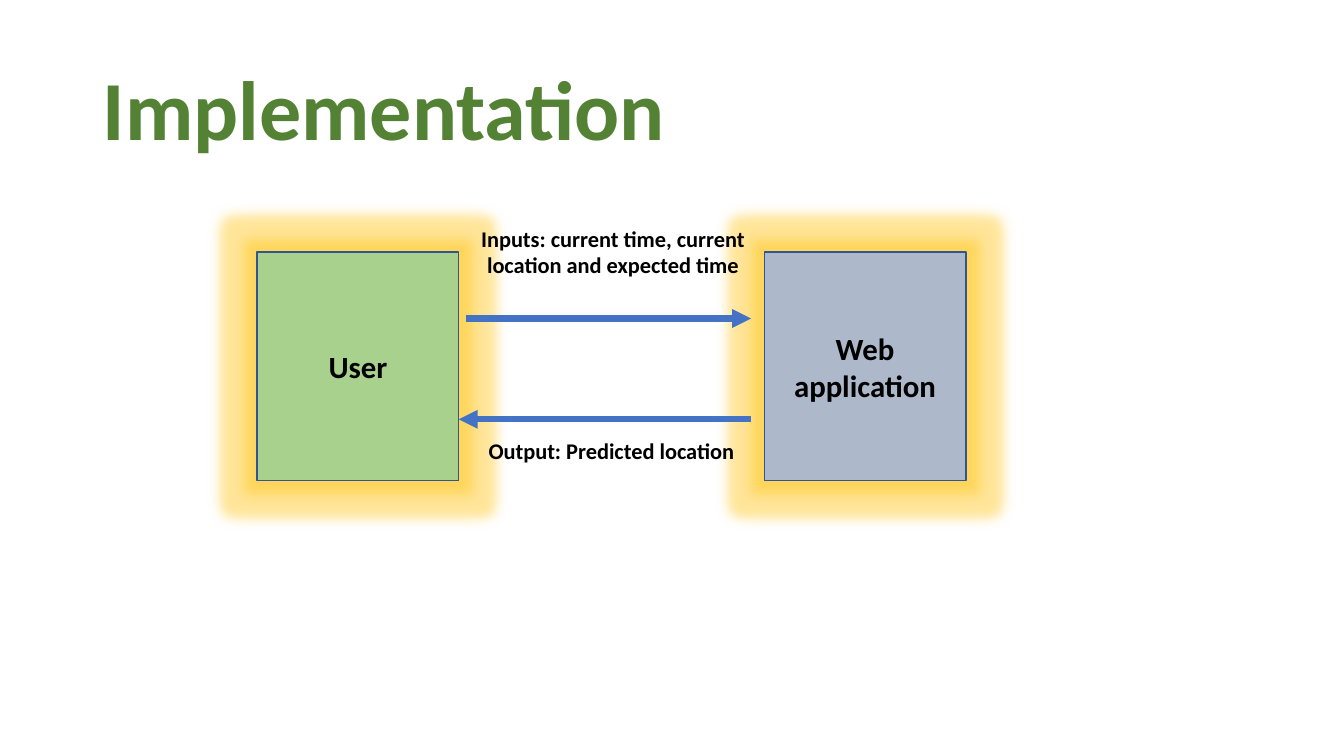
from pptx import Presentation
from pptx.dml.color import RGBColor
from pptx.enum import shapes, text
from pptx.oxml import parse_xml
from pptx.oxml.ns import nsdecls
from pptx.util import Inches, Pt

# Content
TITLE = "Implementation"
BOXES = [("User", 2.55, "user"), ("Web application", 7.58, "web")]  # text, left, fill
ARROWS = [(4.62, 7.45, 3.16), (7.45, 4.55, 4.16)]  # from x, to x, y
LABELS = [
    ("Inputs: current time, current location and expected time", (4.46, 2.18, 3.24, 0.64)),
    ("Output: Predicted location", (4.26, 4.29, 3.61, 0.37)),
]
BOX_TOP, BOX_W, BOX_H = 2.5, 2, 2.27

THEME = {
    "font": "Calibri",
    "title": "548235", "text": "000000", "user": "A9D18E", "web": "ADB9CA",
    "outline": "325491", "arrow": "4472C4", "glow": "FFC000",
    "title_size": 60, "box_size": 22, "label_size": 16,
}


def color(name):
    return RGBColor.from_string(THEME[name])


def write(tf, words, size, fill="text", align=text.PP_ALIGN.CENTER,
          anchor=text.MSO_ANCHOR.MIDDLE, spacing=None):
    tf.word_wrap = True
    tf.vertical_anchor = anchor
    p = tf.paragraphs[0]
    p.alignment = align
    p.line_spacing = spacing
    r = p.add_run()
    r.text = words
    r.font.name = THEME["font"]
    r.font.size = Pt(THEME[size])
    r.font.bold = True
    r.font.color.rgb = color(fill)


def add_glow(sp, radius):
    effects = sp._element.spPr.find(".//{*}effectLst")
    effects.append(parse_xml(
        f'<a:glow {nsdecls("a")} rad="{Pt(radius)}"><a:srgbClr val="{THEME["glow"]}">'
        '<a:alpha val="40000"/></a:srgbClr></a:glow>'))


prs = Presentation()
prs.slide_width, prs.slide_height = Inches(13.33), Inches(7.5)
s = prs.slides.add_slide(prs.slide_layouts[5])

# Title
title = s.shapes.title
title.left, title.top, title.width, title.height = map(Inches, (0.92, 0.4, 11.5, 1.45))
write(title.text_frame, TITLE, "title_size", fill="title",
      align=text.PP_ALIGN.LEFT, spacing=0.9)

# Glowing boxes
for words, left, fill in BOXES:
    sp = s.shapes.add_shape(shapes.MSO_SHAPE.RECTANGLE,
                            *map(Inches, (left, BOX_TOP, BOX_W, BOX_H)))
    sp.shadow.inherit = False
    sp.fill.solid()
    sp.fill.fore_color.rgb = color(fill)
    sp.line.color.rgb = color("outline")
    sp.line.width = Pt(1)
    add_glow(sp, 18)
    write(sp.text_frame, words, "box_size")

# Arrows between the boxes
for start, end, y in ARROWS:
    arrow = s.shapes.add_connector(shapes.MSO_CONNECTOR.STRAIGHT,
                                   *map(Inches, (start, y, end, y)))
    arrow.line.color.rgb = color("arrow")
    arrow.line.width = Pt(4.5)
    arrow.line._get_or_add_ln().append(
        parse_xml(f'<a:tailEnd {nsdecls("a")} type="triangle"/>'))
    arrow._element.spPr.append(parse_xml(f'<a:effectLst {nsdecls("a")}/>'))

# Arrow labels
for words, place in LABELS:
    label = s.shapes.add_textbox(*map(Inches, place))
    write(label.text_frame, words, "label_size", anchor=text.MSO_ANCHOR.TOP)

prs.save("out.pptx")
